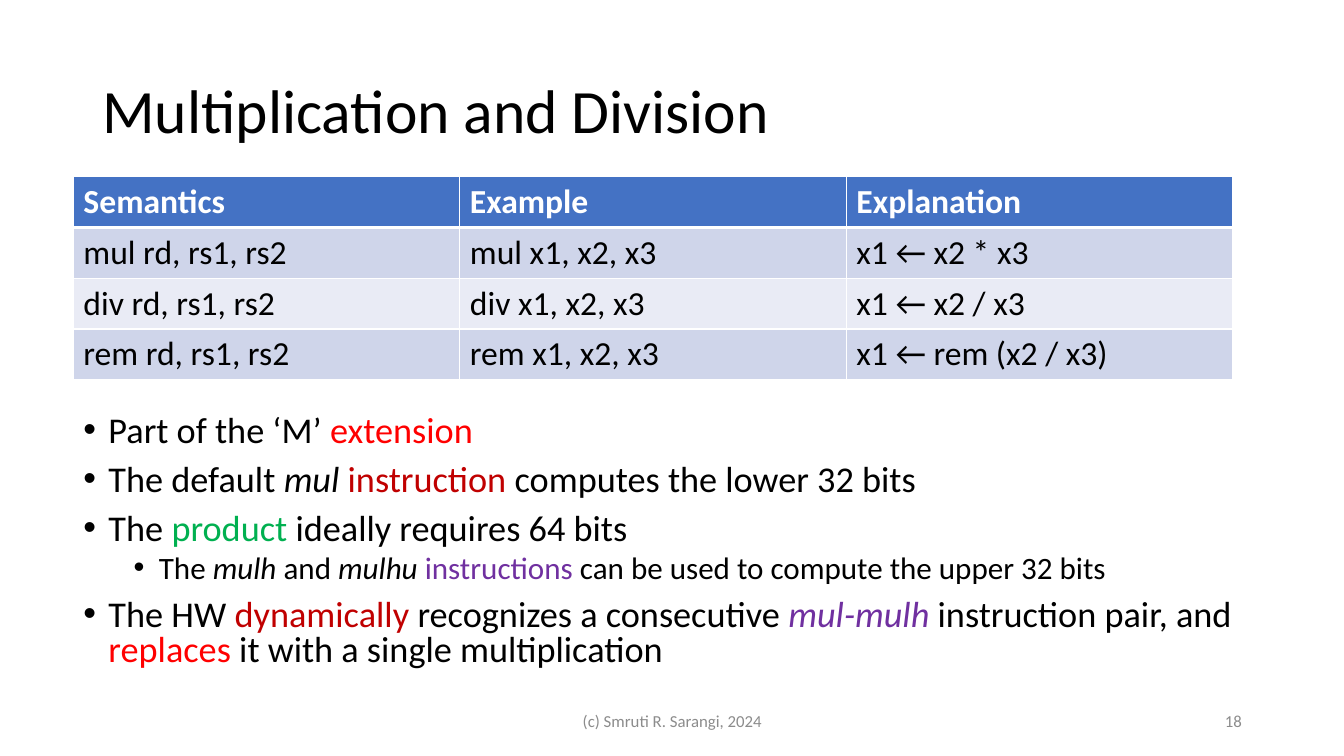
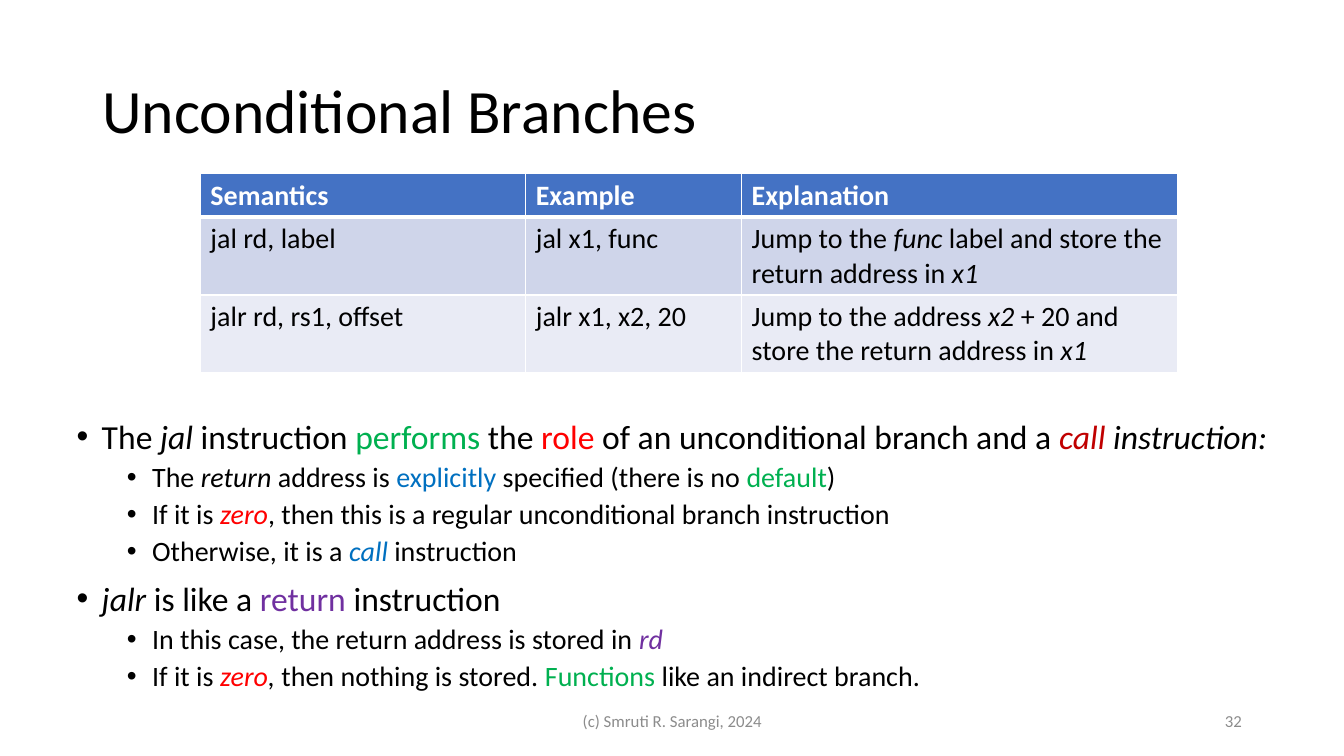
from lxml.etree import SubElement
from pptx import Presentation
from pptx.dml.color import RGBColor
from pptx.enum.text import MSO_ANCHOR, PP_ALIGN
from pptx.oxml.ns import qn
from pptx.util import Cm, Pt

COLORS = {"red": "FF0000", "crimson": "C00000", "green": "00B050",
          "blue": "0070C0", "purple": "7030A0"}


def color(value):
    return RGBColor.from_string(value)


class Lecture:
    """Holds the deck, its style and the current page."""
    font_name = "Calibri"
    ink, white, muted = "000000", "FFFFFF", "8C8C8C"
    header_fill, band_fills = "4472C4", ("CFD5EA", "E9EBF5")
    footer = "(c) Smruti R. Sarangi, 2024"
    bullet_step = 0.635

    def __init__(self):
        self.deck = Presentation()
        self.deck.slide_width, self.deck.slide_height = Cm(33.87), Cm(19.05)
        self.page = None

    def add_page(self, title, number):
        self.page = self.deck.slides.add_slide(self.deck.slide_layouts[6])
        heading = self.text_box(2.33, 1.01, 29.21, 3.68, MSO_ANCHOR.MIDDLE)
        self.fill_para(heading.paragraphs[0], title, 44, spacing=0.9)
        for left, width, text, align in (
                (23.93, 7.62, number, PP_ALIGN.RIGHT),
                (11.23, 11.43, self.footer, PP_ALIGN.CENTER)):
            frame = self.text_box(left, 17.65, width, 1.02, MSO_ANCHOR.MIDDLE)
            frame.paragraphs[0].alignment = align
            self.fill_para(frame.paragraphs[0], text, 12, self.muted)

    def text_box(self, left, top, width, height, anchor=MSO_ANCHOR.TOP):
        box = self.page.shapes.add_textbox(
            Cm(left), Cm(top), Cm(width), Cm(height))
        box.text_frame.word_wrap = True
        box.text_frame.vertical_anchor = anchor
        return box.text_frame

    def fill_para(self, para, spans, size, ink=ink, bold=False, spacing=None):
        """Spans are one string, or strings mixed with (text, style) pairs."""
        if spacing:
            para.line_spacing = spacing
        para.font.name, para.font.size = self.font_name, Pt(size)
        para.font.bold, para.font.color.rgb = bold, color(ink)
        for item in [spans] if isinstance(spans, str) else spans:
            text, style = (item, "") if isinstance(item, str) else item
            span = para.add_run()
            span.text = text
            for word in style.split():
                if word == "italic":
                    span.font.italic = True
                else:
                    span.font.color.rgb = color(COLORS[word])

    def bullets(self, left, top, width, height, items, sizes, spacing):
        """Items are (level, spans); sizes holds one size per level."""
        frame = self.text_box(left, top, width, height)
        for index, (level, spans) in enumerate(items):
            para = frame.add_paragraph() if index else frame.paragraphs[0]
            para.level = level
            para.space_before = Pt((10, 5)[level] if index else 0)
            para.line_spacing = spacing
            props = para._p.get_or_add_pPr()
            props.set("marL", str(Cm(self.bullet_step * (1 + 2 * level))))
            props.set("indent", str(-Cm(self.bullet_step)))
            SubElement(props, qn("a:buFont"), typeface="Arial")
            SubElement(props, qn("a:buChar"), char="•")
            self.fill_para(para, spans, sizes[level])

    def table(self, left, top, widths, heights, rows, size):
        """A cell is a string, or a list of lines made of spans."""
        grid = self.page.shapes.add_table(
            len(rows), len(widths), Cm(left), Cm(top),
            Cm(sum(widths)), Cm(sum(heights))).table
        for column, width in zip(grid.columns, widths):
            column.width = Cm(width)
        for r, (cells, height) in enumerate(zip(rows, heights)):
            grid.rows[r].height = Cm(height)
            header = r == 0
            for c, content in enumerate(cells):
                cell = grid.cell(r, c)
                self.borders(cell, 3 if r == 1 else 1, 3 if header else 1)
                cell.fill.solid()
                cell.fill.fore_color.rgb = color(
                    self.header_fill if header else self.band_fills[(r - 1) % 2])
                lines = [content] if isinstance(content, str) else content
                frame = cell.text_frame
                for index, line in enumerate(lines):
                    para = frame.add_paragraph() if index else frame.paragraphs[0]
                    self.fill_para(para, line, size,
                                   self.white if header else self.ink, header)

    def borders(self, cell, top, bottom):
        props = cell._tc.get_or_add_tcPr()
        for side, points in (("L", 1), ("R", 1), ("T", top), ("B", bottom)):
            line = SubElement(props, qn("a:ln" + side), w=str(Pt(points)))
            fill = SubElement(line, qn("a:solidFill"))
            SubElement(fill, qn("a:srgbClr"), val=self.white)


HEADINGS = ("Semantics", "Example", "Explanation")


def multiplication_page(lecture):
    lecture.add_page("Multiplication and Division", "18")
    results = {"mul": "x2 * x3", "div": "x2 / x3", "rem": "rem (x2 / x3)"}
    rows = [HEADINGS] + [
        (f"{name} rd, rs1, rs2", f"{name} x1, x2, x3", f"x1 ← {result}")
        for name, result in results.items()]
    lecture.table(1.85, 4.45, [9.74] * 3, [1.28] * 4, rows, 24)
    lecture.bullets(1.85, 10.36, 29.69, 6.99, [
        (0, ["Part of the ‘M’ ", ("extension", "red")]),
        (0, ["The default ", ("mul ", "italic"), ("instruction", "crimson"),
             " computes the lower 32 bits"]),
        (0, ["The ", ("product", "green"), " ideally requires 64 bits"]),
        (1, ["The ", ("mulh ", "italic"), "and ", ("mulhu ", "italic"),
             ("instructions", "purple"),
             " can be used to compute the upper 32 bits"]),
        (0, ["The HW ", ("dynamically", "crimson"),
             " recognizes a consecutive ", ("mul-mulh", "purple italic"),
             " instruction pair, and ", ("replaces", "red"),
             " it with a single multiplication"]),
    ], sizes=(25.9, 22.2), spacing=0.8)


def branches_page(lecture):
    lecture.add_page("Unconditional Branches", "32")
    lecture.table(5.05, 4.37, [8.2, 5.44, 10.98], [1.1, 1.96, 1.96], [
        HEADINGS,
        ("jal rd, label", "jal x1, func",
         [["Jump to the ", ("func", "italic"), " label and store the"],
          ["return address in ", ("x1", "italic")]]),
        ("jalr rd, rs1, offset", "jalr x1, x2, 20",
         [["Jump to the address ", ("x2", "italic"), " + 20 and"],
          ["store the return address in ", ("x1", "italic")]]),
    ], 20)
    lecture.bullets(1.68, 10.46, 31.01, 7.57, [
        (0, ["The ", ("jal ", "italic"), "instruction ", ("performs", "green"),
             " the ", ("role", "red"), " of an unconditional branch and a ",
             ("call", "crimson italic"), (" instruction:", "italic")]),
        (1, ["The", (" return", "italic"), " address is ",
             ("explicitly", "blue"), " specified (there is no ",
             ("default", "green"), ")"]),
        (1, ["If it is ", ("zero", "red italic"),
             ", then this is a regular unconditional branch instruction"]),
        (1, ["Otherwise, it is a ", ("call ", "blue italic"), "instruction"]),
        (0, [("jalr", "italic"), " is like a ", ("return", "purple"),
             " instruction"]),
        (1, ["In this case, the return address is stored in ",
             ("rd", "purple italic")]),
        (1, ["If it is ", ("zero", "red italic"), (", ", "italic"),
             "then nothing is stored. ", ("Functions", "green"),
             " like an indirect branch."]),
    ], sizes=(24, 20), spacing=0.9)


def main():
    lecture = Lecture()
    multiplication_page(lecture)
    branches_page(lecture)
    lecture.deck.save("out.pptx")


if __name__ == "__main__":
    main()
